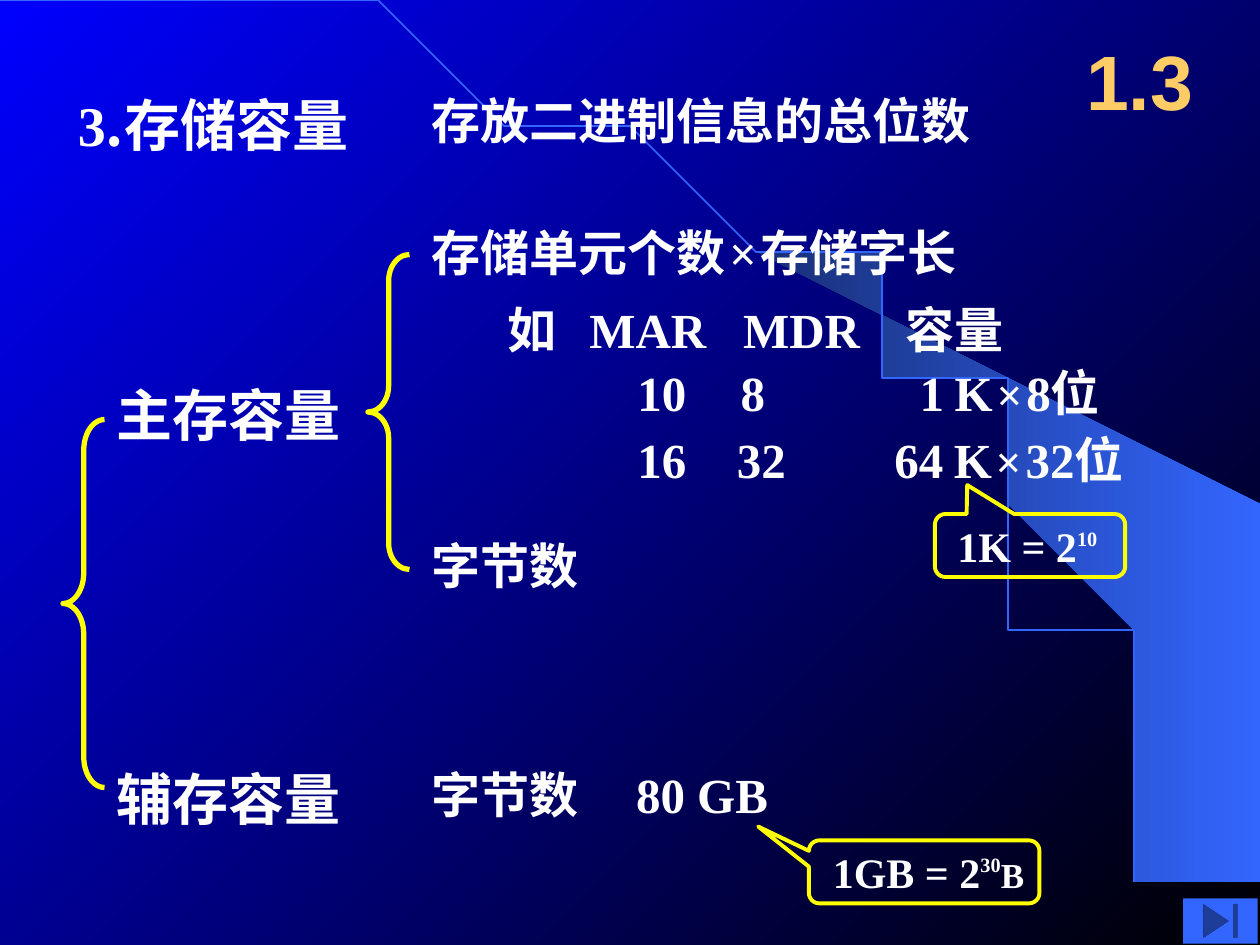
import math
from dataclasses import dataclass

import pptx
import pptx.dml.color
import pptx.enum.shapes
import pptx.enum.text
import pptx.oxml.ns
import pptx.util
from lxml import etree

Inches = pptx.util.Inches
Shape = pptx.enum.shapes.MSO_SHAPE
SERIF = "Times New Roman"
CJK = "Noto Sans CJK SC"
WHITE, YELLOW, GOLD, BLUE = "FFFFFF", "FFFF00", "FFCC66", "3366FF"


@dataclass
class Span:
    text: str
    size: float = 28
    font: str = SERIF
    color: str = WHITE
    baseline: int = 0


@dataclass
class Label:
    left: float
    top: float
    width: float
    height: float
    spans: list[Span]
    tabs: tuple[float, ...] = ()
    inset: float = 0.1


@dataclass
class Brace:
    left: float
    top: float
    height: float
    width: float = 0.33


@dataclass
class Callout:
    left: float
    top: float
    width: float
    pointer: tuple[float, float]
    label: Label
    height: float = 0.5


def rgb(color: str) -> pptx.dml.color.RGBColor:
    return pptx.dml.color.RGBColor.from_string(color)


def add_span(para, text: str, *, size: float, font: str, color: str, baseline: int = 0) -> None:
    span = para.add_run()
    span.text = text
    span.font.size = pptx.util.Pt(size)
    span.font.bold = True
    span.font.name = font
    span.font.color.rgb = rgb(color)
    properties = span._r.get_or_add_rPr()
    if baseline:
        properties.set("baseline", str(baseline * 1000))
    etree.SubElement(properties, pptx.oxml.ns.qn("a:ea"), typeface=CJK)


def add_tabs(para, stops: tuple[float, ...]) -> None:
    tab_list = etree.SubElement(para._p.get_or_add_pPr(), pptx.oxml.ns.qn("a:tabLst"))
    for stop in stops:
        etree.SubElement(tab_list, pptx.oxml.ns.qn("a:tab"), pos=str(Inches(stop)), algn="l")


def add_label(page, label: Label) -> None:
    box = page.shapes.add_textbox(*map(Inches, (label.left, label.top, label.width, label.height)))
    frame = box.text_frame
    frame.word_wrap = True
    frame.auto_size = pptx.enum.text.MSO_AUTO_SIZE.SHAPE_TO_FIT_TEXT
    frame.margin_left = Inches(label.inset)
    para = frame.paragraphs[0]
    if label.tabs:
        add_tabs(para, label.tabs)
    for span in label.spans:
        add_span(para, span.text, size=span.size, font=span.font,
                 color=span.color, baseline=span.baseline)


def set_gradient(fill, first: str, last: str, angle: float) -> None:
    fill.gradient()
    fill.gradient_angle = angle
    for stop, color, position in zip(fill.gradient_stops, (first, last), (0, 1)):
        stop.color.rgb = rgb(color)
        stop.position = position


def outline(shape, color: str, width: float) -> None:
    shape.shadow.inherit = False
    shape.fill.background()
    shape.line.color.rgb = rgb(color)
    shape.line.width = pptx.util.Pt(width)


def add_freeform(page, points: list[tuple[float, float]], close: bool):
    builder = page.shapes.build_freeform(*points[0], scale=Inches(1))
    builder.add_line_segments(points[1:], close=close)
    return builder.convert_to_shape()


def add_brace(page, brace: Brace) -> None:
    shape = page.shapes.add_shape(
        Shape.LEFT_BRACE, *map(Inches, (brace.left, brace.top, brace.width, brace.height)))
    shape.adjustments[0] = brace.height / 12 / brace.width
    outline(shape, YELLOW, 3)


def add_callout(page, callout: Callout) -> None:
    shape = page.shapes.add_shape(
        Shape.ROUNDED_RECTANGULAR_CALLOUT,
        *map(Inches, (callout.left, callout.top, callout.width, callout.height)))
    shape.adjustments[0], shape.adjustments[1] = callout.pointer
    outline(shape, YELLOW, 2.25)
    add_label(page, callout.label)


def add_backdrop(page) -> None:
    set_gradient(page.background.fill, "0000FF", "000000", 315)
    swoosh = add_freeform(page, [
        (9.2, 7.48), (9.99, 7.49), (9.99, 4.23), (5.89, 1.73), (6.24, 1.99), (6.53, 2.22),
        (6.85, 2.5), (7.16, 2.8), (7.62, 3.3), (8.03, 3.84), (8.32, 4.31), (8.58, 4.79),
        (8.78, 5.28), (8.93, 5.72), (9.03, 6.09), (9.13, 6.56), (9.17, 6.96)], True)
    swoosh.shadow.inherit = False
    set_gradient(swoosh.fill, "182F76", BLUE, 0)
    swoosh.line.fill.background()
    steps = 60
    angles = [math.pi / 2 * step / steps for step in range(steps + 1)]
    arc = add_freeform(
        page, [(9.2 * math.sin(angle), 7.49 * (1 - math.cos(angle))) for angle in angles], False)
    outline(arc, BLUE, 1)


def add_title(page, text: str) -> None:
    title = page.shapes.title
    title.left, title.top, title.width, title.height = map(Inches, (8.42, 0.17, 1.25, 0.92))
    title.text_frame.vertical_anchor = pptx.enum.text.MSO_ANCHOR.MIDDLE
    para = title.text_frame.paragraphs[0]
    para.alignment = pptx.enum.text.PP_ALIGN.CENTER
    add_span(para, text, size=44, font="Arial", color=GOLD)


def heading(text: str) -> Span:
    return Span(text, 32, CJK)


def chinese(text: str) -> Span:
    return Span(text, 28, CJK)


def capacity(count: str, word: str) -> list[Span]:
    return [Span(count), Span(" ", 24), Span("K"), Span(" ", 9), Span("×", 26),
            Span(" ", 9), Span(word)]


def power(base: str, exponent: str) -> list[Span]:
    return [Span(base, 24), Span(exponent, 20, baseline=45)]


LABELS = [
    Label(0.52, 0.67, 3.48, 0.64, [Span("3", 32), heading(".存储容量")]),
    Label(0.83, 2.97, 2.67, 0.64, [heading("主存容量")]),
    Label(0.83, 6.02, 2.51, 0.64, [heading("辅存容量")]),
    Label(3.33, 0.67, 5.58, 0.57, [chinese("存放二进制信息的总位数")]),
    Label(3.33, 1.72, 5.58, 0.57, [chinese("存储单元个数"), Span(" ", 9), Span("×"),
                                   Span(" ", 9), chinese("存储字长")]),
    Label(3.33, 4.2, 2.3, 0.57, [chinese("字节数")]),
    Label(3.33, 6.02, 3.75, 0.57, [chinese("字节数\t"), Span("80 GB")], (1.62,)),
    Label(3.93, 2.33, 5.74, 0.57, [chinese("如\t"), Span("MAR\tMDR\t"), chinese("容量")],
          (0.65, 1.87, 3.16)),
    Label(4.67, 2.83, 2.5, 0.57, [Span("\t10\t8")], (0.29, 1.11)),
    Label(4.67, 3.36, 2.5, 0.57, [Span("\t16\t32")], (0.29, 1.08)),
    Label(7.2, 2.83, 2.25, 0.57, capacity("1", "8位")),
    Label(7, 3.36, 2.33, 0.57, capacity("64", "32位")),
]
BRACES = [Brace(0.5, 3.33, 2.92), Brace(2.92, 2.02, 2.5)]
CALLOUTS = [
    Callout(7.42, 4.08, 1.51, (-0.33, -0.96),
            Label(7.5, 4.08, 1.99, 0.5, power("1K = 2", "10"))),
    Callout(6.42, 6.67, 1.83, (-0.72, -0.72),
            Label(6.61, 6.67, 2.41, 0.5, power("1GB = 2", "30") + [Span("B", 20)], inset=0)),
]


def main() -> None:
    deck = pptx.Presentation()
    deck.slide_width, deck.slide_height = Inches(10), Inches(7.5)
    page = deck.slides.add_slide(deck.slide_layouts[5])
    add_backdrop(page)
    add_title(page, "1.3")
    for brace in BRACES:
        add_brace(page, brace)
    for label in LABELS:
        add_label(page, label)
    for callout in CALLOUTS:
        add_callout(page, callout)
    button = page.shapes.add_shape(
        Shape.ACTION_BUTTON_END, *map(Inches, (9.39, 7.13, 0.59, 0.36)))
    button.shadow.inherit = False
    button.fill.solid()
    button.fill.fore_color.rgb = rgb(BLUE)
    button.line.fill.background()
    deck.save("out.pptx")


if __name__ == "__main__":
    main()
